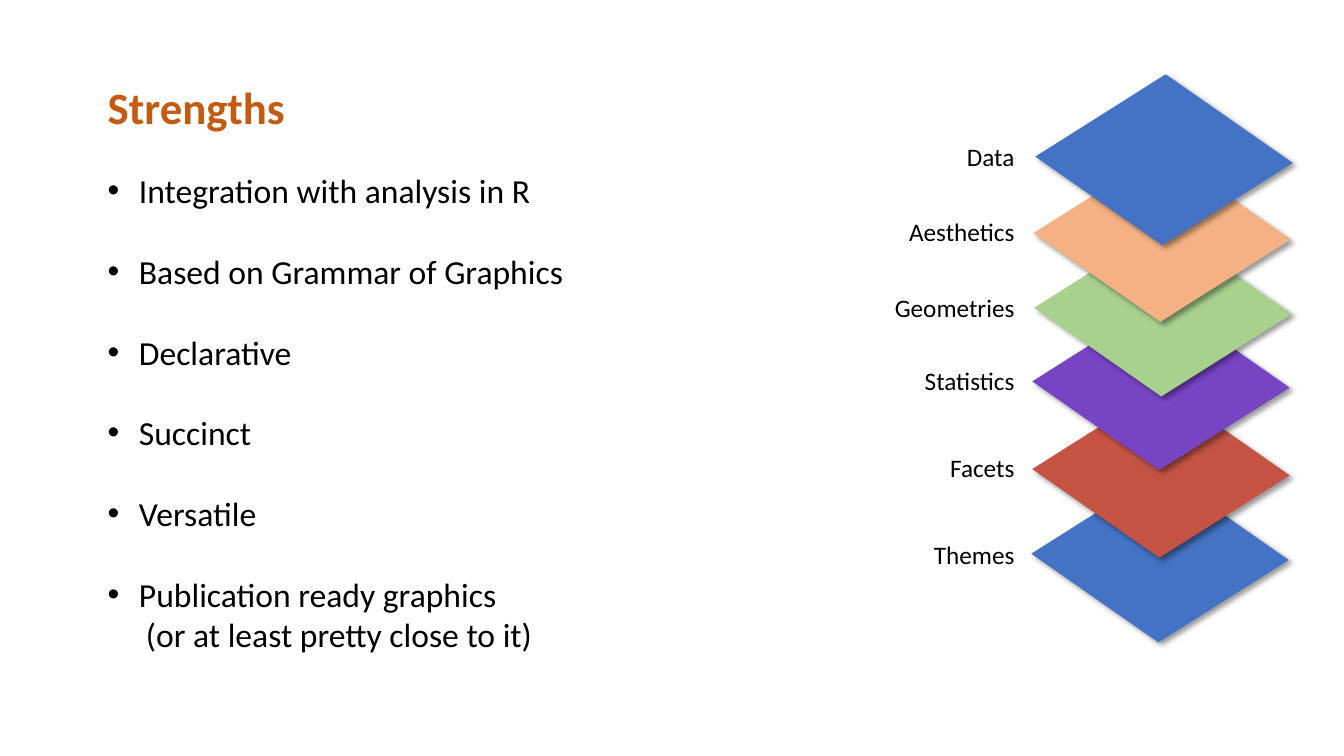
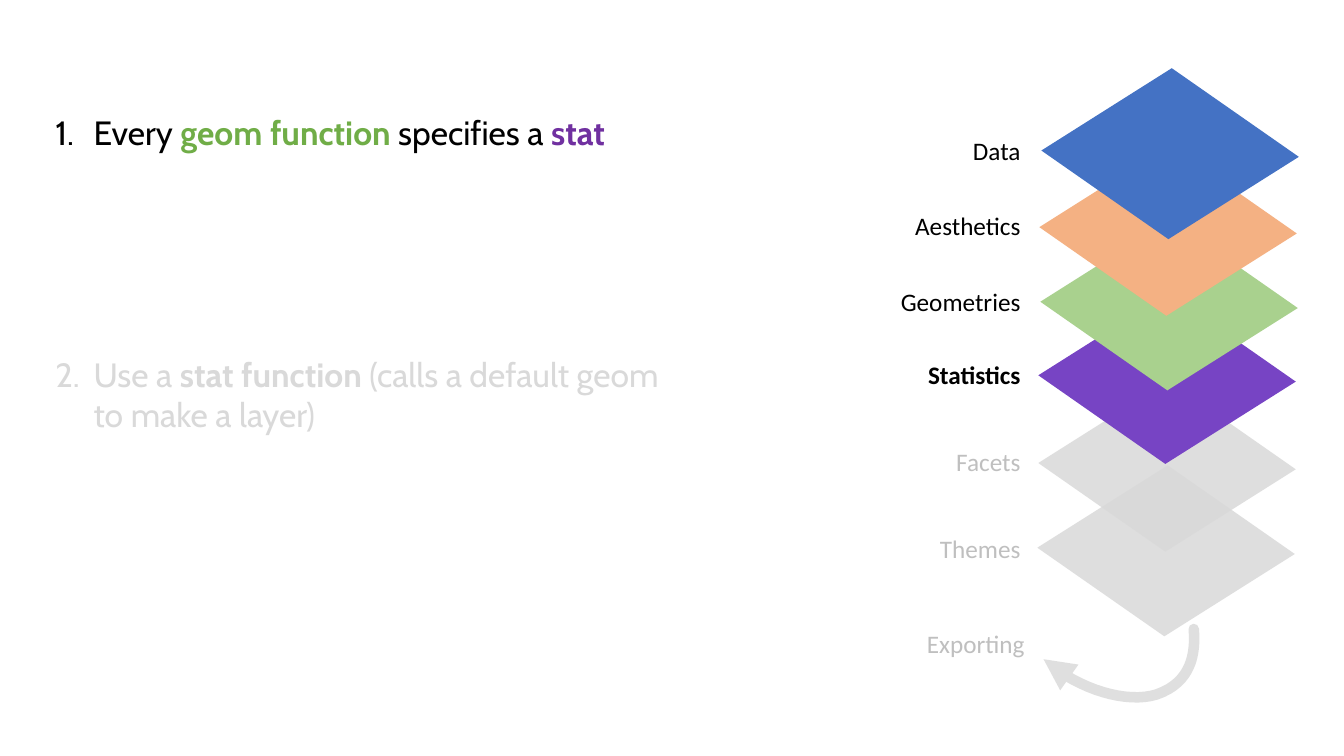
from pptx import Presentation
from pptx.dml.color import RGBColor
from pptx.enum.shapes import MSO_SHAPE as Shape
from pptx.enum.text import MSO_AUTO_SIZE as AutoSize, PP_ALIGN as Align
from pptx.oxml.ns import qn
from pptx.util import Inches, Pt
from lxml.etree import SubElement

BLACK = RGBColor(0x00, 0x00, 0x00)
RUST = RGBColor(0xC5, 0x5A, 0x11)
BLUE = RGBColor(0x44, 0x72, 0xC4)
RED = RGBColor(0xC4, 0x53, 0x44)
VIOLET = RGBColor(0x77, 0x44, 0xC4)
LIGHT_GREEN = RGBColor(0xA9, 0xD1, 0x8E)
PEACH = RGBColor(0xF4, 0xB1, 0x83)
GREEN = RGBColor(0x70, 0xAD, 0x47)
PURPLE = RGBColor(0x70, 0x30, 0xA0)
PALE_GRAY = RGBColor(0xD9, 0xD9, 0xD9)
LABEL_GRAY = RGBColor(0xBF, 0xBF, 0xBF)

LAYERS = [
    ("Data", 10.48, 0.88, 1.35, BLUE),
    ("Aesthetics", 10.46, 1.64, 2.10, PEACH),
    ("Geometries", 10.47, 2.38, 2.85, LIGHT_GREEN),
    ("Statistics", 10.45, 3.11, 3.58, VIOLET),
    ("Facets", 10.45, 3.98, 4.44, RED),
    ("Themes", 10.44, 4.82, 5.30, BLUE),
]
STRENGTHS = [
    "Integration with analysis in R",
    "Based on Grammar of Graphics",
    "Declarative",
    "Succinct",
    "Versatile",
    "Publication ready graphics",
]
TITLE = {"name": "Calibri", "size": Pt(32), "bold": True}
BODY = {"name": "Calibri", "size": Pt(24)}
LABEL = {"name": "Calibri", "size": Pt(18)}
STEP = {"name": "Cabin", "size": Pt(24)}
STRONG_LABEL = {**LABEL, "bold": True}
STRONG_STEP = {**STEP, "bold": True}


def add_child(parent, tag, **attributes):
    return SubElement(parent, qn(tag), {key: str(value) for key, value in attributes.items()})


def set_alpha(element, percent):
    for color in element.iter(qn("a:srgbClr")):
        add_child(color, "a:alpha", val=percent * 1000)


def bezier_points(start, first, second, end, steps=16):
    for step in range(1, steps + 1):
        t = step / steps
        weights = ((1 - t) ** 3, 3 * t * (1 - t) ** 2, 3 * t * t * (1 - t), t ** 3)
        yield tuple(
            Inches(sum(weight * point[axis] for weight, point in zip(weights, (start, first, second, end))))
            for axis in (0, 1)
        )


class Deck:
    """Holds the shared style and the slide being built."""

    def __init__(self):
        self.presentation = Presentation()
        self.presentation.slide_width = Inches(13.33)
        self.presentation.slide_height = Inches(7.5)
        self.slide = None

    def new_slide(self):
        self.slide = self.presentation.slides.add_slide(self.presentation.slide_layouts[6])

    def text_box(self, left, top, width, height):
        frame = self.slide.shapes.add_textbox(*map(Inches, (left, top, width, height))).text_frame
        frame.word_wrap = True
        frame.auto_size = AutoSize.SHAPE_TO_FIT_TEXT
        return frame

    def paragraph(self, frame, runs, indent=0, hanging=0, bullet=None, gap=0, align=None):
        first = frame.paragraphs[0]
        paragraph = frame.add_paragraph() if first.runs else first
        properties = paragraph._p.get_or_add_pPr()
        properties.set("marL", str(Inches(indent)))
        properties.set("indent", str(-Inches(hanging)))
        if isinstance(bullet, int):
            add_child(properties, "a:buFont", typeface="+mj-lt")
            add_child(properties, "a:buAutoNum", type="arabicPeriod", startAt=bullet)
        elif bullet:
            add_child(properties, "a:buFont", typeface="Arial")
            add_child(properties, "a:buChar", char=bullet)
        for name, value in {"space_before": Pt(gap), "alignment": align}.items():
            setattr(paragraph, name, value)
        for text, style, color in runs:
            run = paragraph.add_run()
            run.text = text
            for name, value in style.items():
                setattr(run.font, name, value)
            run.font.color.rgb = color

    def label(self, text, left, top, color=BLACK, style=LABEL):
        frame = self.text_box(left, top, 1.61, 0.4)
        self.paragraph(frame, [(text, style, color)], align=Align.RIGHT)

    def layer(self, left, top, color, alpha=None, shadow=False):
        shape = self.slide.shapes.add_shape(
            Shape.PARALLELOGRAM, *map(Inches, (left, top, 2.13, 1.41)))
        shape.adjustments[0] = 0.421
        shape.rotation = 34.9
        shape.fill.solid()
        shape.fill.fore_color.rgb = color
        shape.line.fill.background()
        shape.shadow.inherit = False
        properties = shape._element.spPr
        if alpha:
            set_alpha(properties, alpha)
        if shadow:
            outer = add_child(
                properties.find(qn("a:effectLst")), "a:outerShdw", blurRad=Pt(4), dist=Pt(3),
                dir=45 * 60000, algn="tl", rotWithShape=0)
            add_child(outer, "a:srgbClr", val=BLACK)
            set_alpha(outer, 40)

    def layer_stack(self, shift=0, muted=(), strong=(), shadow=False):
        for name, left, top, _, color in reversed(LAYERS):
            fill, alpha = (PALE_GRAY, 86) if name in muted else (color, None)
            self.layer(left + shift, top - shift, fill, alpha, shadow)
        for name, _, _, top, _ in LAYERS:
            self.label(name, 8.55 + shift, top - shift,
                       LABEL_GRAY if name in muted else BLACK,
                       STRONG_LABEL if name in strong else LABEL)

    def curved_arrow(self, start, curves, color):
        builder = self.slide.shapes.build_freeform(*map(Inches, start))
        for curve in curves:
            builder.add_line_segments(list(bezier_points(start, *curve)), close=False)
            start = curve[-1]
        shape = builder.convert_to_shape()
        shape.fill.background()
        shape.line.color.rgb = color
        shape.line.width = Pt(7.5)
        shape.shadow.inherit = False
        line = shape._element.spPr.find(qn("a:ln"))
        line.set("cap", "rnd")
        set_alpha(line, 83)
        add_child(line, "a:round")
        add_child(line, "a:tailEnd", type="triangle")


def build_strengths(deck):
    deck.new_slide()
    deck.paragraph(deck.text_box(0.97, 0.74, 5.26, 0.64), [("Strengths", TITLE, RUST)])
    frame = deck.text_box(0.97, 1.64, 5.26, 5)
    for index, strength in enumerate(STRENGTHS):
        deck.paragraph(frame, [(strength, BODY, BLACK)], 0.31, 0.31, "•", 28.8 if index else 0)
    deck.paragraph(frame, [("(or at least pretty close to it)", BODY, BLACK)], 0.38)
    deck.layer_stack(shadow=True)


def build_statistics(deck):
    deck.new_slide()
    deck.layer_stack(0.06, muted=("Facets", "Themes"), strong=("Statistics",))
    deck.curved_arrow((11.84, 6.24), [
        ((11.86, 6.48), (11.82, 6.77), (11.47, 6.89)),
        ((11.18, 6.98), (10.71, 6.85), (10.35, 6.54)),
    ], PALE_GRAY)
    deck.label("Exporting", 8.65, 6.18, LABEL_GRAY)
    frame = deck.text_box(0.45, 1.06, 6.44, 4.04)
    deck.paragraph(frame, [
        ("Every ", STEP, BLACK),
        ("geom function", STRONG_STEP, GREEN),
        (" specifies a ", STEP, BLACK),
        ("stat", STRONG_STEP, PURPLE),
    ], 0.38, 0.38, 1)
    deck.paragraph(frame, [
        ("Use a ", STEP, PALE_GRAY),
        ("stat function ", STRONG_STEP, PALE_GRAY),
        ("(calls a default geom to make a layer)", STEP, PALE_GRAY),
    ], 0.38, 0.38, 2, 144)


def main():
    deck = Deck()
    build_strengths(deck)
    build_statistics(deck)
    deck.presentation.save("out.pptx")


if __name__ == "__main__":
    main()
